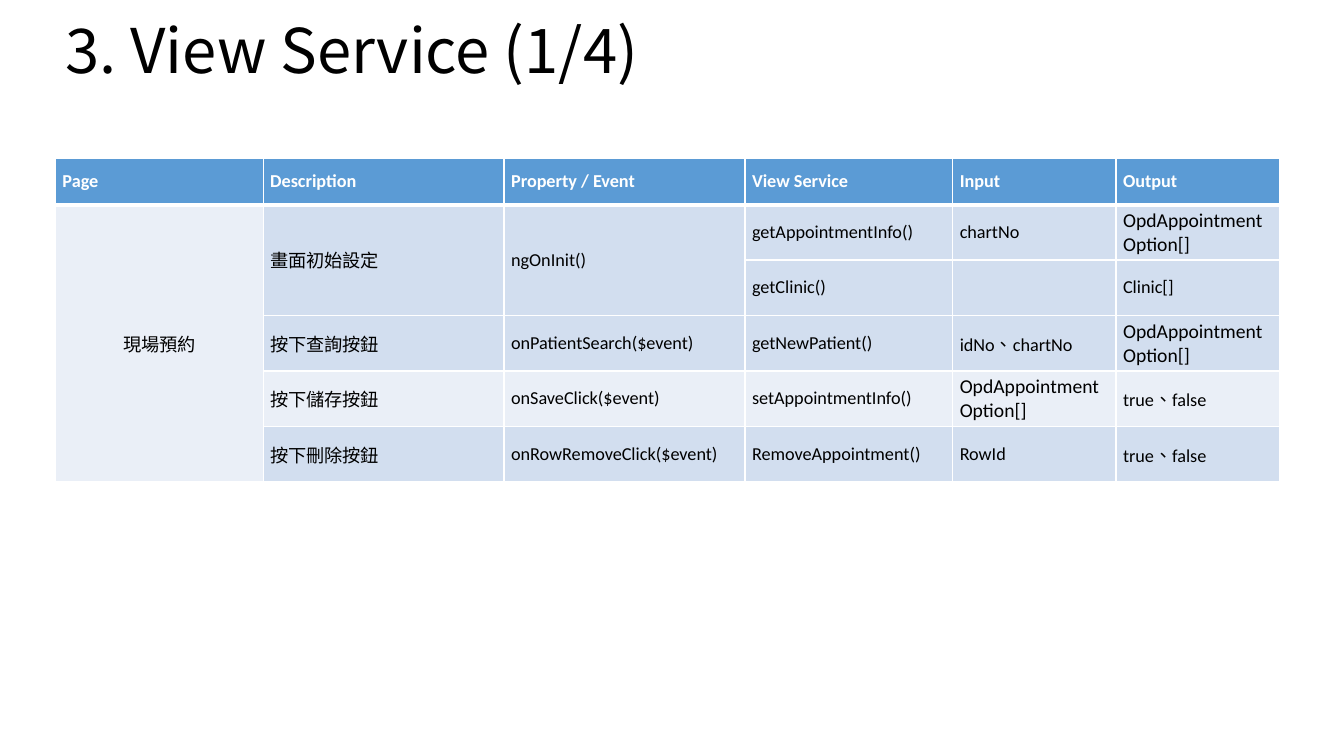
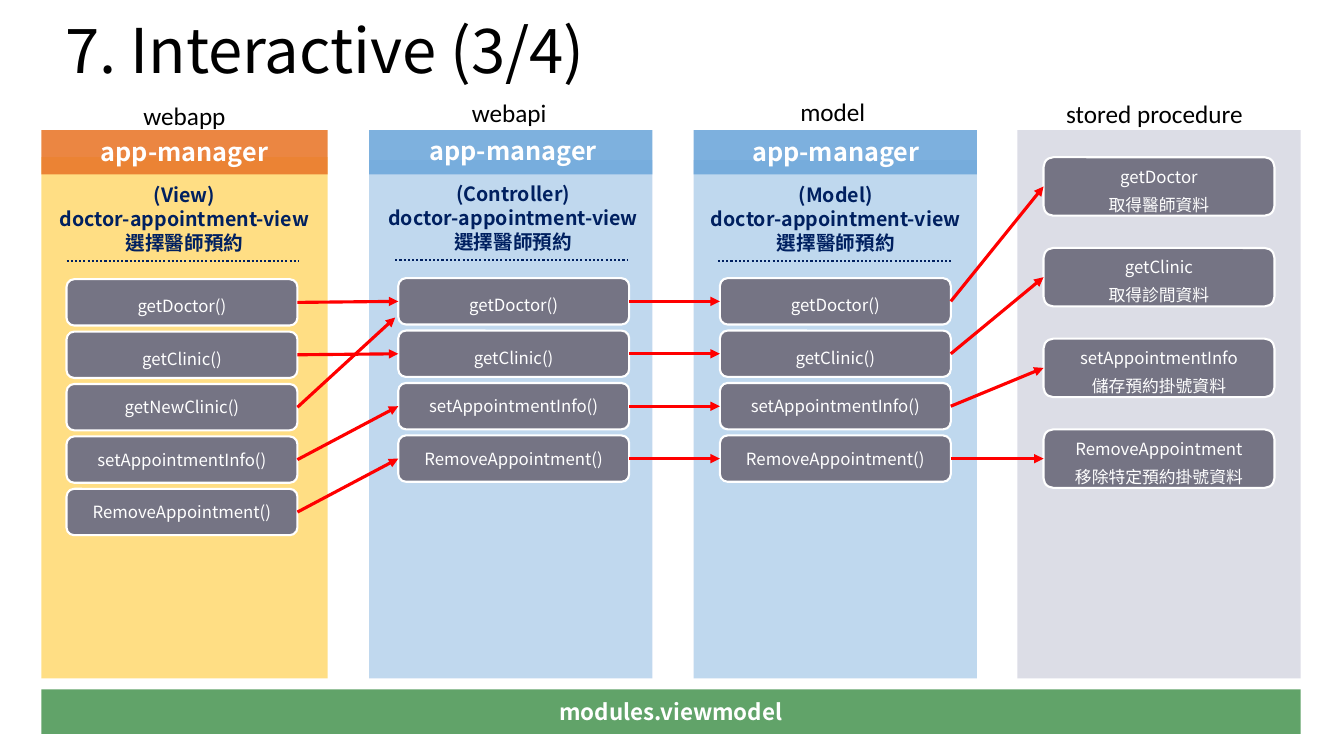
"""Build the view service table and the interaction diagram slides."""
from dataclasses import dataclass
from typing import Any, Optional

from lxml.etree import SubElement
from pptx import Presentation
from pptx.dml.color import RGBColor
from pptx.enum.dml import MSO_LINE
from pptx.enum.shapes import MSO_CONNECTOR, MSO_SHAPE
from pptx.enum.text import MSO_ANCHOR, MSO_AUTO_SIZE, PP_ALIGN
from pptx.oxml.ns import qn
from pptx.util import Emu, Pt

PX = 9144
SANS, BODY = "Noto Sans CJK SC", "Calibri"
WHITE, BLACK, NAVY, RED = "FFFFFF", "000000", "002060", "FF0000"
GREY, GREEN = "757484", "61A369"
YELLOW, ORANGE, PALE_BLUE, BLUE, LILAC = "FFDB75", "E9782B", "B9D4ED", "6FA8DB", "D8D9E4"
HEADER, BAND, LIGHT = "5B9BD5", "D2DEEF", "EAEFF7"
MIDDLE = {"vertical_anchor": MSO_ANCHOR.MIDDLE, "word_wrap": True}
GROW = {"auto_size": MSO_AUTO_SIZE.SHAPE_TO_FIT_TEXT, "word_wrap": True}
CENTER = {"alignment": PP_ALIGN.CENTER}


@dataclass(frozen=True)
class Style:
    size: int
    color: str
    face: str = SANS
    bold: bool = False


TITLE = Style(44, BLACK)
LABEL = Style(18, BLACK, BODY)
HEADING = Style(18, WHITE, bold=True)
ROLE = Style(14, NAVY, bold=True)
STEP = Style(12, WHITE)
FOOTER = Style(16, WHITE, bold=True)


@dataclass(frozen=True)
class Lane:
    label: str
    label_left: int
    label_top: int
    left: int
    width: int
    top: int
    color: str
    box_left: int
    box_top: int
    pitch: int
    box_height: int
    spaced: int
    steps: tuple[str, ...]
    alpha: int = 89
    head_color: str = ""
    role: str = ""
    text_left: int = 0
    role_top: int = 0


ACTIONS = ("getDoctor()", "getClinic()", "setAppointmentInfo()", "RemoveAppointment()")
LANES = (
    Lane("webapp", 41, 95, 41, 284, 156, YELLOW, 66, 277, 52, 46, 2,
         ACTIONS[:2] + ("getNewClinic()",) + ACTIONS[2:],
         head_color=ORANGE, role="(View)", text_left=41, role_top=177),
    Lane("webapi", 363, 92, 366, 281, 159, PALE_BLUE, 395, 276, 52, 46, 2, ACTIONS,
         head_color=BLUE, role="(Controller)", text_left=367, role_top=176),
    Lane("model", 684, 91, 688, 281, 159, PALE_BLUE, 714, 276, 52, 46, 2, ACTIONS,
         alpha=90, head_color=BLUE, role="(Model)", text_left=687, role_top=177),
    Lane("stored procedure", 1003, 93, 1009, 281, 129, LILAC, 1035, 156, 90, 58, 4,
         ("getDoctor\v取得醫師資料", "getClinic\v取得診間資料",
          "setAppointmentInfo\v儲存預約掛號資料", "RemoveAppointment\v移除特定預約掛號資料")),
)
LINKS = (
    ((0, 0), (1, 1), (3, 2), (4, 3)),
    tuple((i, i) for i in range(4)),
    tuple((i, i) for i in range(4)),
)

COLUMNS = (206, 239, 239, 206, 162, 162)
OPTION = "OpdAppointmentOption[]"
ROWS = (
    ("Page", "Description", "Property / Event", "View Service", "Input", "Output"),
    ("現場預約", "畫面初始設定", "ngOnInit()", "getAppointmentInfo()", "chartNo", OPTION),
    ("", "", "", "getClinic()", "", "Clinic[]"),
    ("", "按下查詢按鈕", "onPatientSearch($event)", "getNewPatient()", "idNo、chartNo", OPTION),
    ("", "按下儲存按鈕", "onSaveClick($event)", "setAppointmentInfo()", OPTION, "true、false"),
    ("", "按下刪除按鈕", "onRowRemoveClick($event)", "RemoveAppointment()", "RowId", "true、false"),
)
MERGES = (((1, 0), (5, 0)), ((1, 1), (2, 1)), ((1, 2), (2, 2)))


def px(*values: int) -> list[Emu]:
    """Turn px into EMU."""
    return [Emu(v * PX) for v in values]


def rgb(color: str) -> RGBColor:
    """Turn a hex string into a colour."""
    return RGBColor.from_string(color)


def apply(obj: Any, values: dict[str, Any]) -> None:
    """Set each named attribute on an object."""
    for name, value in values.items():
        setattr(obj, name, value)


def write(tf: Any, text: str, style: Style, frame: dict[str, Any],
          para: Optional[dict[str, Any]] = None) -> None:
    """Fill a text frame, one paragraph per line."""
    apply(tf, frame)
    for i, line in enumerate(text.split("\n")):
        p = tf.paragraphs[0] if i == 0 else tf.add_paragraph()
        p.text = line
        apply(p, para or {})
        for r in p.runs:
            apply(r.font, {"name": style.face, "size": Pt(style.size), "bold": style.bold})
            r.font.color.rgb = rgb(style.color)
            rPr = r.font._element
            rPr.set("lang", "zh-TW")
            ea = SubElement(rPr, qn("a:ea"))
            ea.set("typeface", SANS)


def add_text(s: Any, box: tuple[int, int, int, int], text: str, style: Style,
             frame: dict[str, Any], para: dict[str, Any]) -> None:
    """Add a text box."""
    write(s.shapes.add_textbox(*px(*box)).text_frame, text, style, frame, para)


def add_box(s: Any, kind: MSO_SHAPE, box: tuple[int, int, int, int], color: str,
            alpha: int = 100, outlined: bool = False) -> Any:
    """Add a filled shape, see-through below 100 alpha."""
    sp = s.shapes.add_shape(kind, *px(*box))
    sp.shadow.inherit = False
    sp.fill.solid()
    sp.fill.fore_color.rgb = rgb(color)
    if alpha < 100:
        clr = sp._element.spPr.find(qn("a:solidFill")).find(qn("a:srgbClr"))
        SubElement(clr, qn("a:alpha")).set("val", str(alpha * 1000))
    if outlined:
        sp.line.color.rgb = rgb(WHITE)
        sp.line.width = Pt(1.5)
    else:
        sp.line.fill.background()
    return sp


def add_line(s: Any, ends: tuple[int, int, int, int], color: str, width: float) -> Any:
    """Add a straight connector."""
    cn = s.shapes.add_connector(MSO_CONNECTOR.STRAIGHT, *px(*ends))
    cn.line.color.rgb = rgb(color)
    cn.line.width = Pt(width)
    SubElement(cn._element.spPr, qn("a:effectLst"))
    return cn


def add_arrow(s: Any, start: Any, end: Any = None, tip: tuple[int, int] = (0, 0)) -> None:
    """Add a red arrow from a box to another box or to a point."""
    cn = add_line(s, (0, 0, *tip), RED, 2.25)
    cn.begin_connect(start, 3)
    if end is not None:
        cn.end_connect(end, 1)
    SubElement(cn.line._get_or_add_ln(), qn("a:tailEnd")).set("type", "triangle")


def add_slide(prs: Any, title: str) -> Any:
    """Add a blank slide with a title."""
    s = prs.slides.add_slide(prs.slide_layouts[6])
    add_text(s, (55, 14, 1217, 78), title, TITLE, MIDDLE, {"line_spacing": 0.9})
    return s


def set_borders(cell: Any, row: int) -> None:
    """Draw white cell borders, thick below the header."""
    tcPr = cell._tc.get_or_add_tcPr()
    widths = {"lnL": 1.06, "lnR": 1.06, "lnT": 3.19 if row == 1 else 1.06,
              "lnB": 3.19 if row == 0 else 1.06}
    for tag, width in widths.items():
        ln = SubElement(tcPr, qn(f"a:{tag}"))
        ln.set("w", str(int(Pt(width))))
        SubElement(SubElement(ln, qn("a:solidFill")), qn("a:srgbClr")).set("val", WHITE)


def add_service_table(s: Any) -> None:
    """Add the table of view services."""
    heights = (46,) + (55,) * (len(ROWS) - 1)
    size = px(55, 157, sum(COLUMNS), sum(heights))
    table = s.shapes.add_table(len(ROWS), len(COLUMNS), *size).table
    for column, width in zip(table.columns, px(*COLUMNS)):
        column.width = width
    for row, height in zip(table.rows, px(*heights)):
        row.height = height
    x, y = px(7, 4)
    margins = {"margin_left": x, "margin_right": x, "margin_top": y, "margin_bottom": y,
               "vertical_anchor": MSO_ANCHOR.MIDDLE}
    for i, texts in enumerate(ROWS):
        for j, text in enumerate(texts):
            cell = table.cell(i, j)
            apply(cell, margins)
            set_borders(cell, i)
            cell.fill.solid()
            fill = HEADER if i == 0 else LIGHT if j == 0 or i == 4 else BAND
            cell.fill.fore_color.rgb = rgb(fill)
            style = Style(14 if text == OPTION else 13, BLACK if i else WHITE, BODY, i == 0)
            write(cell.text_frame, text, style, {}, CENTER if i and j == 0 else {})
    for first, last in MERGES:
        table.cell(*first).merge(table.cell(*last))


def add_lane(s: Any, lane: Lane) -> list[Any]:
    """Add a lane and return its step boxes."""
    add_box(s, MSO_SHAPE.RECTANGLE, (lane.left, lane.top, lane.width, 673 - lane.top),
            lane.color, lane.alpha)
    if lane.role:
        add_box(s, MSO_SHAPE.RECTANGLE, (lane.left, 129, lane.width, 44),
                lane.head_color, lane.alpha)
        add_text(s, (lane.text_left, lane.role_top - 47, 284, 40), "app-manager",
                 HEADING, GROW, CENTER)
        add_text(s, (lane.text_left, lane.role_top, 284, 81),
                 f"{lane.role}\ndoctor-appointment-view\n選擇醫師預約", ROLE, GROW, CENTER)
        x, y = lane.text_left + 25, lane.role_top + 82
        add_line(s, (x, y, x + 231, y), NAVY, 1.5).line.dash_style = MSO_LINE.ROUND_DOT
    add_text(s, (lane.label_left, lane.label_top, 284, 40), lane.label, LABEL, GROW, CENTER)
    boxes = []
    for i, step in enumerate(lane.steps):
        box = (lane.box_left, lane.box_top + i * lane.pitch, 229, lane.box_height)
        sp = add_box(s, MSO_SHAPE.ROUNDED_RECTANGLE, box, GREY, outlined=True)
        spacing = {"line_spacing": Pt(20)} if i < lane.spaced else {}
        write(sp.text_frame, step, STEP, MIDDLE, CENTER | spacing)
        boxes.append(sp)
    return boxes


def add_interaction(s: Any) -> None:
    """Add the lanes, the arrows between them and the bottom bar."""
    lanes = [add_lane(s, lane) for lane in LANES]
    bar = add_box(s, MSO_SHAPE.RECTANGLE, (41, 684, 1249, 44), GREEN)
    write(bar.text_frame, "modules.viewmodel", FOOTER, MIDDLE, CENTER)
    for source, target, links in zip(lanes, lanes[1:], LINKS):
        for i, j in links:
            add_arrow(s, source[i], target[j])
    add_arrow(s, lanes[0][2], tip=(392, 315))


def main() -> None:
    """Build and save the presentation."""
    prs = Presentation()
    prs.slide_width, prs.slide_height = px(1333, 750)
    add_service_table(add_slide(prs, "3. View Service (1/4)"))
    add_interaction(add_slide(prs, "7. Interactive (3/4)"))
    prs.save("out.pptx")


if __name__ == "__main__":
    main()
